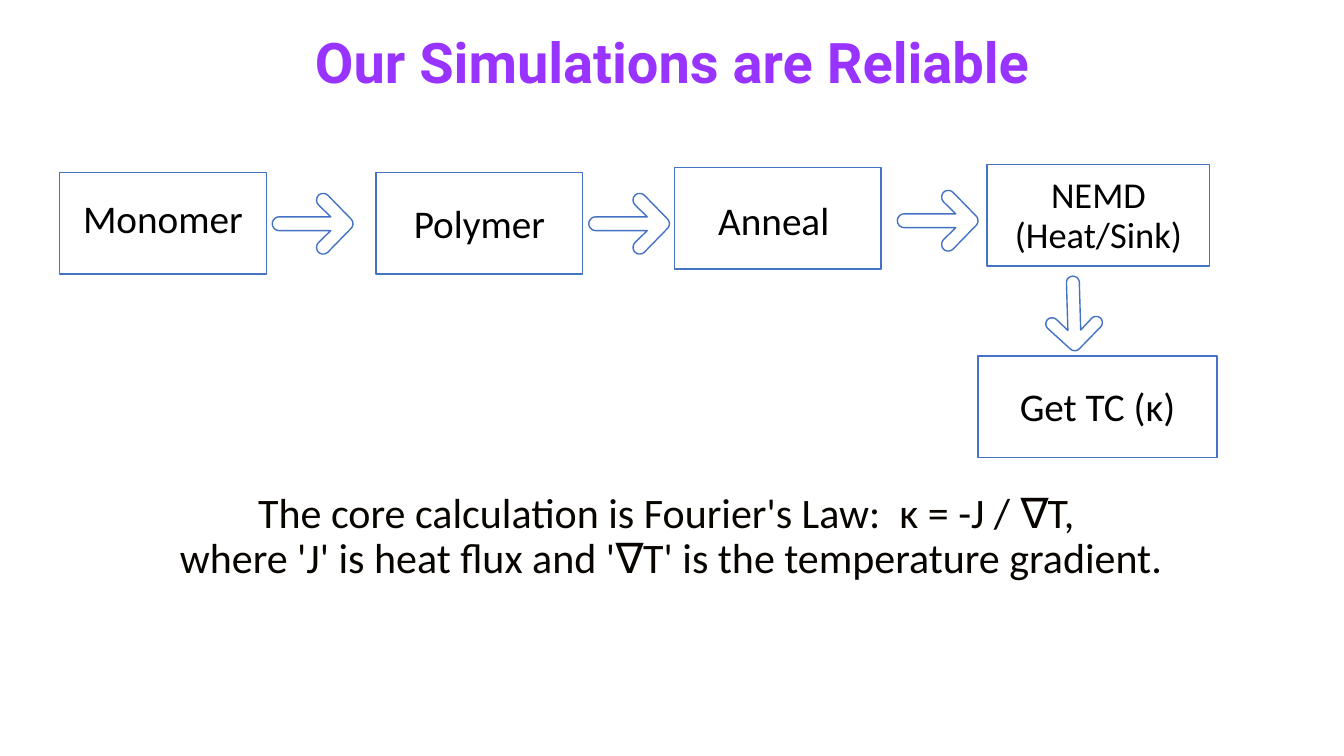
from math import cos, radians, sin
from pptx import Presentation
from pptx import util as u
from pptx.dml.color import RGBColor
from pptx.enum import shapes, text

COLORS = {"title": "9933FF", "outline": "4472C4", "fill": "FFFFFF",
          "label": "000000", "formula": "080500"}
SLIDE_W, SLIDE_H = u.Inches(13.33), u.Inches(7.5)
PERCENT_W, PERCENT_H = SLIDE_W / 100, SLIDE_H / 100

STEPS = [
    ("Monomer", 28, (4.43, 22.8, 15.38, 13.47), (.08, .22, .84, .49)),
    ("Polymer", 28, (27.98, 22.8, 15.38, 13.47), (.13, .27, .74, .49)),
    ("Anneal", 28, (50.19, 22.13, 15.38, 13.47), (.18, .29, .6, .49)),
    ("NEMD (Heat/Sink)", 26, (73.44, 21.73, 16.58, 13.47), (.03, .08, .94, .89)),
    ("Get TC (κ)", 28, (72.77, 47.07, 17.78, 13.47), (.06, .26, .88, .49)),
]
ARROWS = [
    ((20.26, 25.6, 6, 8), 0),
    ((43.81, 25.6, 6, 8), 0),
    ((66.77, 25.2, 6, 8), 0),
    ((77.12, 37.73, 5.55, 7.47), 88.3),
]
FORMULA = ("The core calculation is Fourier's Law:  κ = -J / ∇T, \v"
           "where 'J' is heat flux and '∇T' is the temperature gradient.")


def color(name):
    return RGBColor.from_string(COLORS[name])


def area(box):
    x, y, w, h = box
    return [round(n) for n in (x * PERCENT_W, y * PERCENT_H, w * PERCENT_W, h * PERCENT_H)]


def place(part, box):
    part.left, part.top, part.width, part.height = area(box)


def within(box, shares):
    x, y, w, h = box
    dx, dy, sw, sh = shares
    return x + dx * w, y + dy * h, sw * w, sh * h


def write(frame, words, size, font, tint, before=0, bold=False):
    frame.word_wrap = True
    frame.margin_left = frame.margin_right = u.Inches(.05)
    frame.margin_top = frame.margin_bottom = u.Inches(.05)
    frame.text = words
    line = frame.paragraphs[0]
    line.alignment = text.PP_ALIGN.CENTER
    line.line_spacing = .9
    line.space_before = u.Pt(before)
    line.font.size, line.font.name, line.font.bold = u.Pt(size), font, bold
    line.font.color.rgb = color(tint)


def outline(part):
    part.shadow.inherit = False
    part.fill.solid()
    part.fill.fore_color.rgb = color("fill")
    part.line.color.rgb = color("outline")
    part.line.width = u.Pt(1)


def add_title(slide, box):
    title = slide.shapes.title
    place(title, box)
    write(title.text_frame, "Our Simulations are Reliable", 40, "Roboto", "title", bold=True)
    title.text_frame.vertical_anchor = text.MSO_ANCHOR.MIDDLE


def add_words(slide, box, words, size, tint):
    frame = slide.shapes.add_textbox(*area(box)).text_frame
    write(frame, words, size, "Calibri", tint, before=10)
    frame.auto_size = text.MSO_AUTO_SIZE.SHAPE_TO_FIT_TEXT


def add_step(slide, box, words, size, label_shares):
    outline(slide.shapes.add_shape(shapes.MSO_SHAPE.RECTANGLE, *area(box)))
    add_words(slide, within(box, label_shares), words, size, "label")


def arc(x, y, radius, start, end):
    steps = 10
    angles = [radians(start + (end - start) * i / steps) for i in range(steps + 1)]
    return [(x + radius * cos(a), y + radius * sin(a)) for a in angles]


def add_arrow(slide, box, rotation):
    points = (arc(505, 66, 66, 315, 135) + [(580, 232)]
              + arc(68, 300, 68, 270, 90) + [(580, 368)]
              + arc(505, 534, 66, 225, 45) + arc(734, 300, 66, 45, -45))
    builder = slide.shapes.build_freeform(*points[0], scale=914.4)
    builder.add_line_segments(points[1:], close=True)
    arrow = builder.convert_to_shape()
    place(arrow, box)
    arrow.rotation = rotation
    outline(arrow)


def main():
    deck = Presentation()
    deck.slide_width, deck.slide_height = SLIDE_W, SLIDE_H
    slide = deck.slides.add_slide(deck.slide_layouts.get_by_name("Title Only"))
    add_title(slide, (13.58, .4, 72.84, 16.53))
    for words, size, box, label_shares in STEPS:
        add_step(slide, box, words, size, label_shares)
    add_words(slide, (5.25, 64.4, 89.42, 15.47), FORMULA, 30, "formula")
    for box, rotation in ARROWS:
        add_arrow(slide, box, rotation)
    deck.save("out.pptx")


if __name__ == "__main__":
    main()
